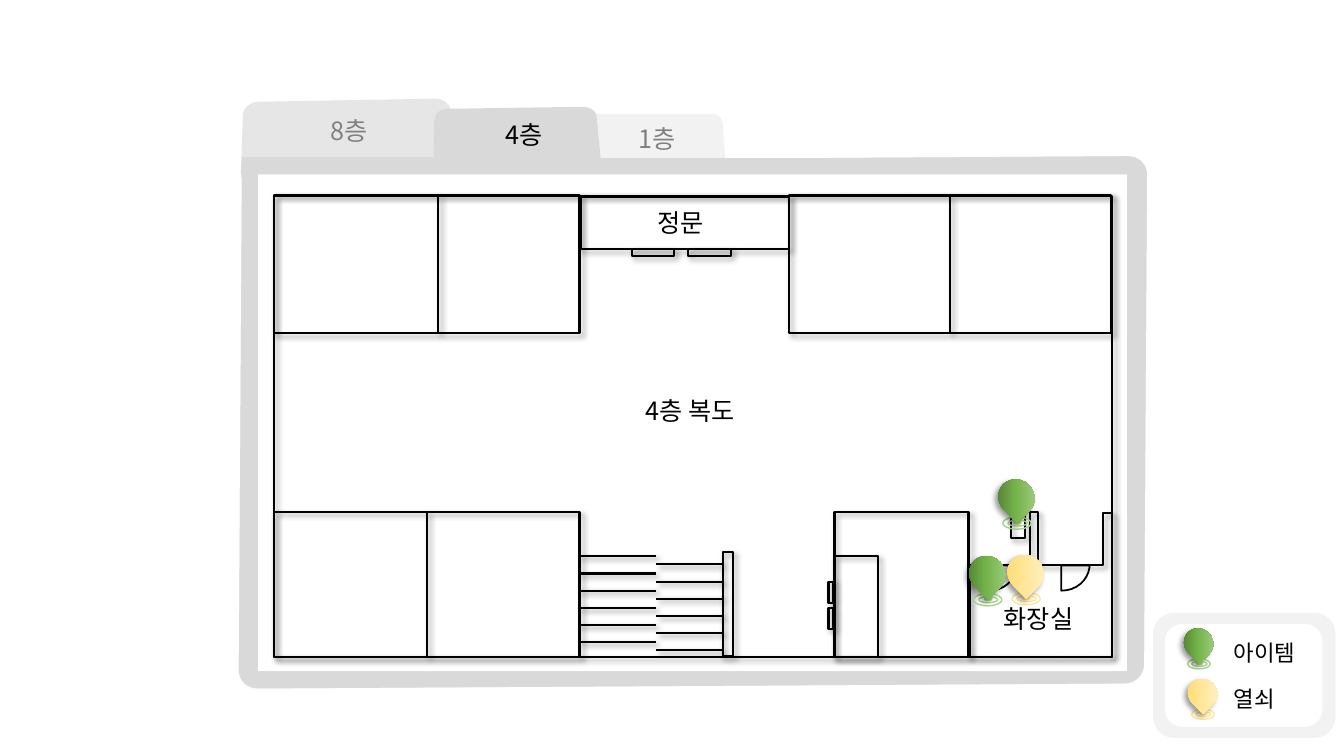
from pptx import Presentation, util as u
from pptx.dml.color import RGBColor
from pptx.enum import shapes, text
from pptx.oxml import parse_xml
from pptx.oxml.ns import nsdecls, qn

FONT = "Noto Sans CJK KR"
COLORS = {"ink": "000000", "muted": "808080", "paper": "FFFFFF", "pale": "F2F2F2",
          "tab": "E7E6E6", "frame": "D9D9D9"}
PINS = {"item": ("4B7430", "74B349", "A9D18E"), "key": ("FFD966", "FFE699", "FFF2CC")}
RINGS = {"item": "A9D18E", "key": "FFE699"}
KIND = shapes.MSO_SHAPE


def length(inches):
    return u.Cm(inches * 2.54)


def add_shadow(item, angle=45):
    properties = item._element.spPr
    effects = properties.find(qn("a:effectLst"))
    if effects is None:
        effects = parse_xml(f"<a:effectLst {nsdecls('a')}/>")
        properties.append(effects)
    effects.append(parse_xml(
        f'<a:outerShdw {nsdecls("a")} blurRad="50800" dist="38100" dir="{angle * 60000}" '
        'algn="tl" rotWithShape="0"><a:srgbClr val="000000"><a:alpha val="40000"/>'
        '</a:srgbClr></a:outerShdw>'))


def style(shape, fill=None, line=None, weight=1.5):
    shape.shadow.inherit = False
    if fill:
        shape.fill.solid()
        shape.fill.fore_color.rgb = RGBColor.from_string(fill)
    else:
        shape.fill.background()
    if line:
        shape.line.color.rgb = RGBColor.from_string(line)
        shape.line.width = u.Pt(weight)
    else:
        shape.line.fill.background()
    return shape


def add_shape(page, kind, left, top, width, height, **look):
    box = [length(value) for value in (left, top, width, height)]
    return style(page.shapes.add_shape(kind, *box), **look)


def add_outline(page, left, top, steps, **look):
    points = []
    for step in steps:
        if len(step) == 2:
            points.append(step)
            continue
        nodes = [points[-1], step[:2], step[2:4], step[4:]]
        for part in range(1, 9):
            t = part / 8
            weights = ((1 - t) ** 3, 3 * t * (1 - t) ** 2, 3 * t * t * (1 - t), t ** 3)
            points.append(tuple(sum(w * node[axis] for w, node in zip(weights, nodes))
                                for axis in (0, 1)))
    spots = [(length(left + x), length(top + y)) for x, y in points]
    builder = page.shapes.build_freeform(*spots[0], scale=1.0)
    builder.add_line_segments(spots[1:], close=True)
    return style(builder.convert_to_shape(), **look)


def add_label(page, words, left, top, width, size=18, color="ink"):
    box = page.shapes.add_textbox(*[length(v) for v in (left, top, width, 0.4)])
    box.text_frame.word_wrap = False
    box.text_frame.auto_size = text.MSO_AUTO_SIZE.SHAPE_TO_FIT_TEXT
    para = box.text_frame.paragraphs[0]
    para.text = words
    font = para.runs[0].font
    font.size = u.Pt(size)
    font.color.rgb = RGBColor.from_string(COLORS[color])
    font.name = FONT
    font._element.append(parse_xml(f'<a:ea {nsdecls("a")} typeface="{FONT}"/>'))


def add_wall(page, x1, y1, x2, y2):
    wall = page.shapes.add_connector(shapes.MSO_CONNECTOR.STRAIGHT,
                                     *[length(v) for v in (x1, y1, x2, y2)])
    wall.line.color.rgb = RGBColor.from_string(COLORS["ink"])
    wall.line.width = u.Pt(1.5)
    add_shadow(wall)
    return wall


def add_pin(page, name, left, top, scale=1.0):
    ring = RINGS[name]
    for x, y, width, height, fill in ((0.04, 0.38, 0.28, 0.12, None),
                                      (0.09, 0.41, 0.19, 0.06, None),
                                      (0.15, 0.42, 0.07, 0.03, ring)):
        add_shape(page, KIND.OVAL, left + x * scale, top + y * scale, width * scale,
                  height * scale, fill=fill, line=ring, weight=1)
    drop = add_shape(page, KIND.TEAR, left, top, 0.35 * scale, 0.37 * scale)
    drop.rotation = 135
    drop.fill.gradient()
    stops = "".join(f'<a:gs pos="{place}"><a:srgbClr val="{color}"/></a:gs>'
                    for place, color in zip((0, 48000, 100000), PINS[name]))
    properties = drop._element.spPr
    properties.replace(properties.find(qn("a:gradFill")), parse_xml(
        f'<a:gradFill {nsdecls("a")} rotWithShape="1"><a:gsLst>{stops}</a:gsLst>'
        '<a:lin ang="13500000" scaled="0"/></a:gradFill>'))
    add_shadow(drop, 135)


def add_folder(page, left, top):
    body = [(8.79, 0.55), (8.9, 0.55, 8.98, 0.63, 8.98, 0.73), (8.95, 5.59),
            (8.95, 5.69, 8.87, 5.78, 8.76, 5.78), (0.16, 5.83),
            (0.05, 5.83, -0.03, 5.75, -0.03, 5.65), (0, 0.78), (-0.01, 0.71)]
    first_floor = [(3.42, 0.13), (4.64, 0.13), (4.71, 0.12, 4.76, 0.16, 4.77, 0.22),
                   (4.8, 0.63), (7.04, 0.65), (7.02, 5), (3.47, 4.97),
                   (3.39, 4.97, 3.33, 4.91, 3.33, 4.82), (3.3, 0.77), (3.3, 0.25),
                   (3.3, 0.18, 3.35, 0.13, 3.42, 0.13)]
    eighth_floor = [(1.89, -0.02), (1.98, -0.03, 2.06, 0.02, 2.07, 0.09), (2.11, 0.59),
                    *body, (0.01, 0.15), (0.01, 0.07, 0.08, 0.01, 0.18, 0.01)]
    fourth_floor = [(3.38, 0.06), (3.45, 0.06, 3.52, 0.1, 3.52, 0.16), (3.56, 0.57),
                    (8.78, 0.57), (8.86, 0.57, 8.93, 0.64, 8.93, 0.72), (8.93, 4.77),
                    (8.93, 4.86, 8.86, 4.92, 8.78, 4.92), (2.05, 4.93),
                    (1.97, 4.93, 1.9, 4.86, 1.9, 4.78), (1.9, 0.66), (1.91, 0.2),
                    (1.91, 0.13, 1.97, 0.08, 2.04, 0.08)]
    frame = [*body, (0, 0.56), (2.11, 0.56), (2.11, 0.59)]
    for steps, color in ((first_floor, "pale"), (eighth_floor, "tab"),
                         (fourth_floor, "frame"), (frame, "frame")):
        add_outline(page, left, top, steps, fill=COLORS[color])
    add_shape(page, KIND.RECTANGLE, left + 0.16, top + 0.73, 8.62, 4.93, fill=COLORS["paper"])
    for words, x, y, color in (("8층", 0.78, 0.09, "muted"), ("4층", 2.52, 0.13, "ink"),
                               ("1층", 3.84, 0.17, "muted")):
        add_label(page, words, left + x, top + y, 0.69, color=color)


def add_floor_plan(page, left, top):
    rooms = {"floor": (0, 0, 8.31, 4.58), "office": (5.56, 3.14, 1.33, 1.44),
             "lower left": (0, 3.14, 3.03, 1.44), "upper left": (0, 0, 3.03, 1.36),
             "upper right": (5.11, 0, 3.19, 1.36), "gate": (3.04, 0.01, 2.07, 0.52),
             "gate door 1": (3.55, 0.53, 0.42, 0.07), "gate door 2": (4.11, 0.53, 0.42, 0.07),
             "lift door 1": (5.5, 3.83, 0.05, 0.21), "lift door 2": (5.5, 4.09, 0.05, 0.21),
             "stair wall": (4.45, 3.54, 0.1, 1.03), "lift": (5.56, 3.58, 0.43, 1),
             "sink": (7.31, 3.15, 0.14, 0.25)}
    drawn = {}
    for name, (x, y, width, height) in rooms.items():
        drawn[name] = add_shape(page, KIND.RECTANGLE, left + x, top + y, width, height,
                                line=COLORS["ink"])
        add_shadow(drawn[name])
    for step in range(6):
        for start, end, first in ((3.02, 3.79, 3.58), (3.79, 4.45, 3.66)):
            y = top + first + 0.17 * step
            add_wall(page, left + start, y, left + end, y)
    add_wall(page, left + 1.63, top, left + 1.63, top + 1.36)
    for name in ("upper right", "lower left"):
        x, y, width, height = rooms[name]
        middle = left + x + width / 2
        wall = add_wall(page, middle, top + y, middle, top + y + height)
        wall.begin_connect(drawn[name], 0)
        wall.end_connect(drawn[name], 2)
    restroom = [(7.5, 3.14), (7.58, 3.14), (7.58, 3.67), (8.22, 3.67), (8.22, 3.15),
                (8.31, 3.15), (8.31, 4.58), (6.9, 4.58), (6.9, 3.67), (7.5, 3.67)]
    add_shadow(add_outline(page, left, top, restroom, line=COLORS["ink"]))
    door = [(0, 0.25), (0, 0), (0.28, 0), (0.28, 0.02), (0.26, 0.15, 0.15, 0.25, 0, 0.25)]
    for x in (7.09, 7.81):
        add_outline(page, left + x, top + 3.67, door, line=COLORS["ink"], weight=1.25)
    for words, x, y, width in (("정문", 3.7, 0.07, 0.71), ("4층 복도", 3.59, 1.93, 1.26),
                               ("화장실", 7.14, 4, 0.98)):
        add_label(page, words, left + x, top + y, width)
    for name, x, y in (("key", 7.28, 3.56), ("item", 6.9, 3.57), ("item", 7.19, 2.81)):
        add_pin(page, name, left + x, top + y)


def add_legend(page, left, top):
    add_shape(page, KIND.ROUNDED_RECTANGLE, left, top, 1.81, 1.24, fill=COLORS["pale"])
    add_shape(page, KIND.ROUNDED_RECTANGLE, left + 0.12, top + 0.11, 1.56, 1.02,
              fill=COLORS["paper"])
    for name, words, x, y, label_y in (("key", "열쇠", 0.35, 0.65, 0.67),
                                       ("item", "아이템", 0.31, 0.15, 0.21)):
        add_pin(page, name, left + x, top + y, 0.81)
        add_label(page, words, left + 0.7, top + label_y, 1.01, size=16)


def main():
    deck = Presentation()
    deck.slide_width, deck.slide_height = u.Cm(33.87), u.Cm(19.05)
    page = deck.slides.add_slide(deck.slide_layouts[6])
    add_folder(page, 2.4, 1)
    add_floor_plan(page, 2.72, 1.94)
    add_legend(page, 11.44, 6.08)
    deck.save("out.pptx")


if __name__ == "__main__":
    main()
